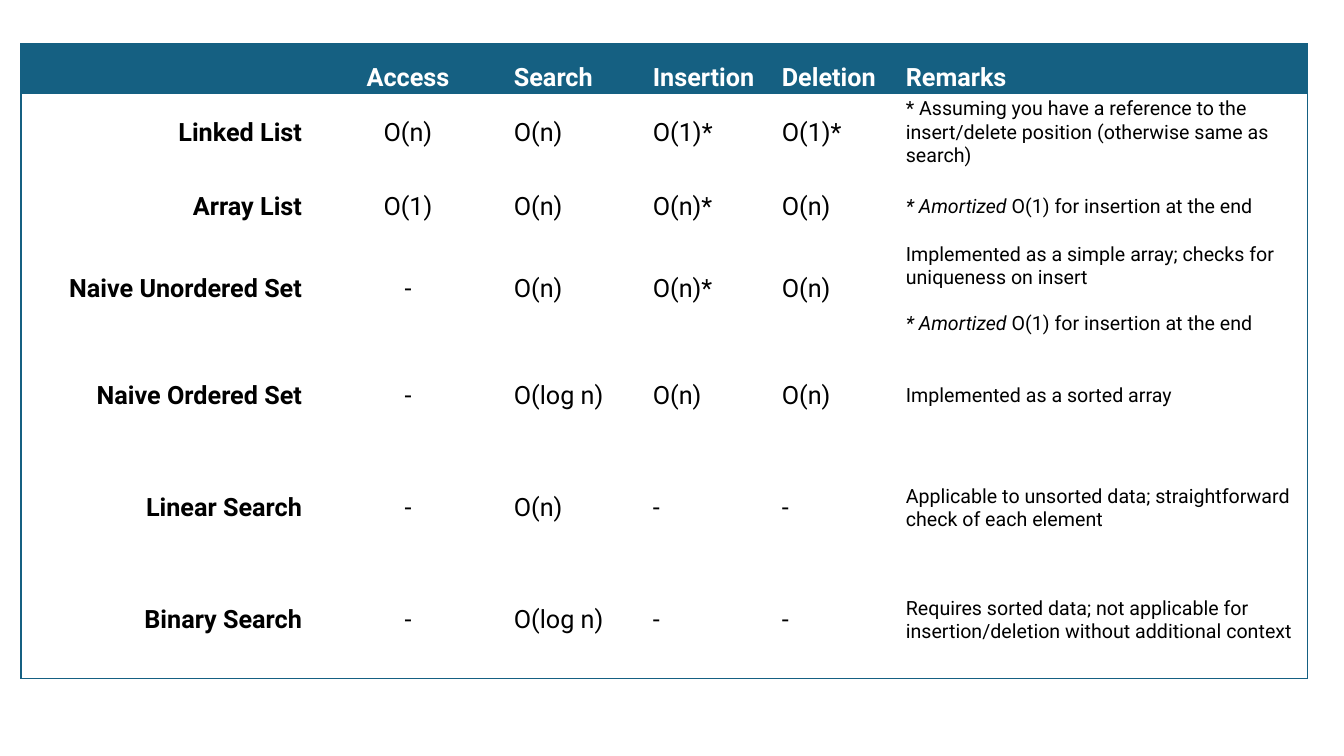
from lxml.etree import SubElement
from pptx import Presentation
from pptx.dml.color import RGBColor
from pptx.enum.text import MSO_ANCHOR, PP_ALIGN
from pptx.oxml.ns import qn
from pptx.util import Pt

# Content: a remark is a list of paragraphs, each a list of (text, italic)
HEADS = ["", "Access", "Search", "Insertion", "Deletion", "Remarks"]
AMORT = [("* Amortized", True), (" O(1) for insertion at the end", False)]


def plain(text):
    return [(text, False)]


ROWS = [
    (["Linked List", "O(n)", "O(n)", "O(1)*", "O(1)*"],
     [plain("* Assuming you have a reference to the insert/delete position "
            "(otherwise same as search)")]),
    (["Array List", "O(1)", "O(n)", "O(n)*", "O(n)"], [AMORT]),
    (["Naive Unordered Set", "-", "O(n)", "O(n)*", "O(n)"],
     [plain("Implemented as a simple array; checks for uniqueness on insert"),
      AMORT]),
    (["Naive Ordered Set", "-", "O(log n)", "O(n)", "O(n)"],
     [plain("Implemented as a sorted array")]),
    (["Linear Search", "-", "O(n)", "-", "-"],
     [plain("Applicable to unsorted data; straightforward check of each "
            "element")]),
    (["Binary Search", "-", "O(log n)", "-", "-"],
     [plain("Requires sorted data; not applicable for insertion/deletion "
            "without additional context")]),
]

# Layout in px
LEFT, TOP = 21, 44
WIDTHS = [284, 206, 139, 129, 124, 405]
HEIGHTS = [50, 77, 71, 95, 118, 106, 118]
GAP = 23
TEAL, WHITE, BLACK = "156082", "FFFFFF", "000000"
ALIGNS = [PP_ALIGN.RIGHT, PP_ALIGN.CENTER] + [PP_ALIGN.LEFT] * 4
NO_GRID = "{2D5ABB26-0587-4C30-8999-92F81FD0307C}"


def px(n):
    return round(n * 914400 / 100.8)


def color(code):
    return RGBColor.from_string(code)


def assign(item, values):
    for name, value in values.items():
        setattr(item, name, value)


def write(cell, paras, align, size, bold, ink):
    frame = cell.text_frame
    for i, parts in enumerate(paras):
        para = frame.add_paragraph() if i else frame.paragraphs[0]
        para.alignment = align
        if i:
            para.space_before = px(GAP)
        for text, italic in parts:
            run = para.add_run()
            run.text = text
            assign(run.font, {"name": "Roboto", "size": Pt(size),
                              "bold": bold, "italic": italic})
            run.font.color.rgb = color(ink)


def edge(cell, sides):
    props = cell._tc.get_or_add_tcPr()
    for i, side in enumerate(sides):
        line = SubElement(props, qn("a:ln" + side), w=str(Pt(1)))
        fill = SubElement(line, qn("a:solidFill"))
        SubElement(fill, qn("a:srgbClr"), val=TEAL)
        props.insert(i, line)


# Slide and table
deck = Presentation()
assign(deck, {"slide_width": px(1344), "slide_height": px(756)})
slide = deck.slides.add_slide(deck.slide_layouts[6])
grid = slide.shapes.add_table(
    len(HEIGHTS), len(WIDTHS), px(LEFT), px(TOP),
    px(sum(WIDTHS)), px(sum(HEIGHTS))).table
assign(grid, {"first_row": False, "horz_banding": False})
grid._tbl.tblPr.find(qn("a:tableStyleId")).text = NO_GRID
for col, width in zip(grid.columns, WIDTHS):
    col.width = px(width)
for row, height in zip(grid.rows, HEIGHTS):
    row.height = px(height)

# Cells
lines = [[[plain(text)] for text in HEADS]]
lines += [[[plain(text)] for text in cells] + [note] for cells, note in ROWS]
end, last = len(HEIGHTS) - 1, len(WIDTHS) - 1
for r, line in enumerate(lines):
    for c, paras in enumerate(line):
        cell = grid.cell(r, c)
        head = r == 0
        assign(cell, {
            "margin_left": px(3), "margin_right": px(3),
            "margin_top": px(1), "margin_bottom": px(1),
            "vertical_anchor": MSO_ANCHOR.BOTTOM if head
            else MSO_ANCHOR.MIDDLE})
        if head:
            cell.fill.solid()
            cell.fill.fore_color.rgb = color(TEAL)
        else:
            cell.fill.background()
        if paras != [plain("")]:
            size = 14 if c == last and not head else 18
            write(cell, paras, ALIGNS[c], size, head or c == 0,
                  WHITE if head else BLACK)
        rules = {"L": c == 0, "R": c == last, "T": head, "B": r == end}
        edge(cell, [side for side, on in rules.items() if on])

deck.save("out.pptx")
